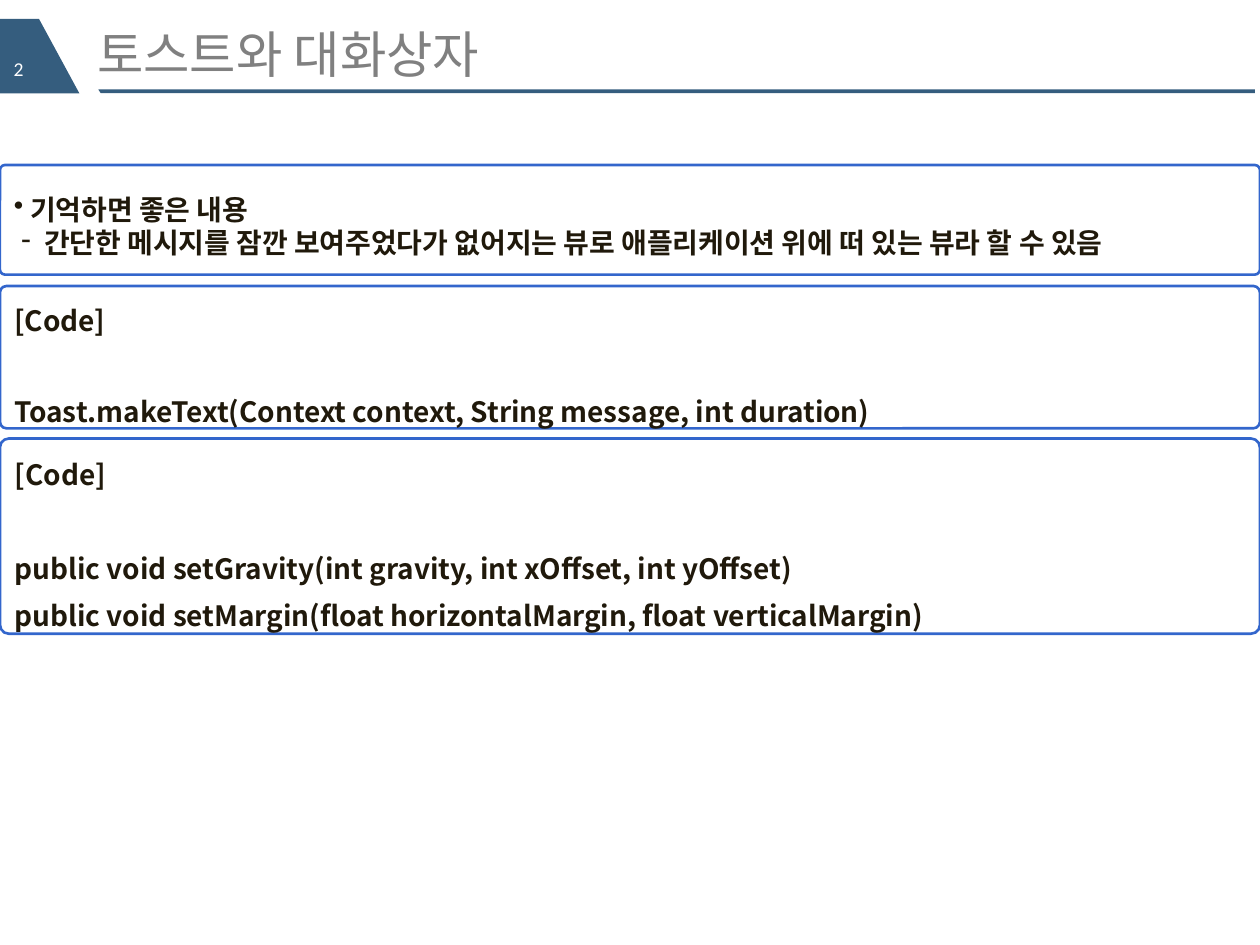
from dataclasses import dataclass

from lxml import etree
from pptx import Presentation
from pptx import util as u
from pptx.dml.color import RGBColor
from pptx.enum import shapes, text
from pptx.oxml.ns import qn

TITLE = "토스트와 대화상자"
PAGE_NUMBER = "2"

# Each line: text, line height in points, space before, bullet, left margin, hang
# Each panel: top, height, lines
PANELS = [
    (1.31, 0.87, [
        ("기억하면 좋은 내용", 24, 0, "•", 0.13, 0.13),
        ("간단한 메시지를 잠깐 보여주었다가 없어지는 뷰로 애플리케이션 위에 떠 있는 뷰라 할 수 있음",
         19, 0, "-", 0.24, 0.18),
    ]),
    (2.27, 1.13, [
        ("[Code]", 27, 0, None, 0, 0),
        ("Toast.makeText(Context context, String message, int duration)",
         25, 27, None, 0, 0),
    ]),
    (3.48, 1.55, [
        ("[Code]", 27, 0, None, 0, 0),
        ("public void setGravity(int gravity, int xOffset, int yOffset)",
         27, 27, None, 0, 0),
        ("public void setMargin(float horizontalMargin, float verticalMargin)",
         27, 0, None, 0, 0),
    ]),
]

RULE = [(0.78, 0.71), (9.96, 0.71), (9.96, 0.74), (0.8, 0.74)]
TAB = [(0.31, 0.15), (0.63, 0.74), (0, 0.74), (0, 0.15)]


@dataclass(frozen=True)
class Theme:
    """Colours, fonts and type sizes of the slide."""
    band: RGBColor = RGBColor.from_string("355D7E")
    border: RGBColor = RGBColor.from_string("3366CC")
    title: RGBColor = RGBColor.from_string("808080")
    body: RGBColor = RGBColor.from_string("20190B")
    white: RGBColor = RGBColor.from_string("FFFFFF")
    font: str = "Noto Sans CJK KR"
    number_font: str = "Calibri"
    title_size: float = 28.8
    body_size: float = 16
    number_size: float = 11.2


THEME = Theme()


def style(para, name, size, colour, bold=False):
    """Set the font of a whole paragraph, Korean glyphs included."""
    font = para.font
    font.name, font.size, font.bold = name, u.Pt(size), bold
    font.color.rgb = colour
    para.alignment = text.PP_ALIGN.LEFT
    defaults = para._p.get_or_add_pPr().find(qn("a:defRPr"))
    etree.SubElement(defaults, qn("a:ea")).set("typeface", name)


def set_bullet(para, mark, margin, hang):
    """Give a paragraph a hanging bullet."""
    props = para._p.get_or_add_pPr()
    props.set("marL", str(u.Inches(margin)))
    props.set("indent", str(-u.Inches(hang)))
    bullet = etree.Element(qn("a:buChar"))
    bullet.set("char", mark)
    props.find(qn("a:defRPr")).addprevious(bullet)


def place(shape, left, top, width, height):
    """Move and size a shape, in inches."""
    shape.left, shape.top = u.Inches(left), u.Inches(top)
    shape.width, shape.height = u.Inches(width), u.Inches(height)


def add_outline(page, points):
    """Draw a closed, filled polygon."""
    corners = [(u.Inches(x), u.Inches(y)) for x, y in points]
    builder = page.shapes.build_freeform(*corners[0])
    builder.add_line_segments(corners[1:], close=True)
    shape = builder.convert_to_shape()
    shape.shadow.inherit = False
    shape.fill.solid()
    shape.fill.fore_color.rgb = THEME.band
    shape.line.fill.background()


def add_number(page):
    """Write the page number on the tab."""
    box = page.shapes.add_textbox(*map(u.Inches, (0.01, 0.4, 0.58, 0.27)))
    box.text_frame.word_wrap = True
    para = box.text_frame.paragraphs[0]
    para.text = PAGE_NUMBER
    style(para, THEME.number_font, THEME.number_size, THEME.white)


def add_title(page):
    """Move and format the title placeholder."""
    title = page.shapes.title
    place(title, 0.67, 0.25, 8.92, 0.35)
    frame = title.text_frame
    frame.text = TITLE
    frame.auto_size = text.MSO_AUTO_SIZE.NONE
    frame.vertical_anchor = text.MSO_ANCHOR.MIDDLE
    style(frame.paragraphs[0], THEME.font, THEME.title_size, THEME.title)


def add_panel(page, top, height, lines):
    """Draw a full-width rounded panel with its lines of text."""
    panel = page.shapes.add_shape(
        shapes.MSO_SHAPE.ROUNDED_RECTANGLE,
        *map(u.Inches, (0, top, 10, height)))
    panel.adjustments[0] = 0.046
    panel.shadow.inherit = False
    panel.fill.background()
    panel.line.color.rgb = THEME.border
    panel.line.width = u.Pt(1.5)
    frame = panel.text_frame
    frame.word_wrap = True
    frame.vertical_anchor = text.MSO_ANCHOR.MIDDLE
    frame.margin_top, frame.margin_bottom = u.Inches(0.03), 0
    for index, (words, pitch, before, mark, margin, hang) in enumerate(lines):
        para = frame.add_paragraph() if index else frame.paragraphs[0]
        para.text = words
        style(para, THEME.font, THEME.body_size, THEME.body, bold=True)
        para.line_spacing = u.Pt(pitch)
        para.space_before = u.Pt(before)
        if mark:
            set_bullet(para, mark, margin, hang)


def main():
    """Build the slide and save it."""
    deck = Presentation()
    deck.slide_width, deck.slide_height = u.Inches(10), u.Inches(7.5)
    page = deck.slides.add_slide(deck.slide_layouts.get_by_name("Title Only"))
    for points in (RULE, TAB):
        add_outline(page, points)
    add_number(page)
    add_title(page)
    for panel in PANELS:
        add_panel(page, *panel)
    deck.save("out.pptx")


main()
